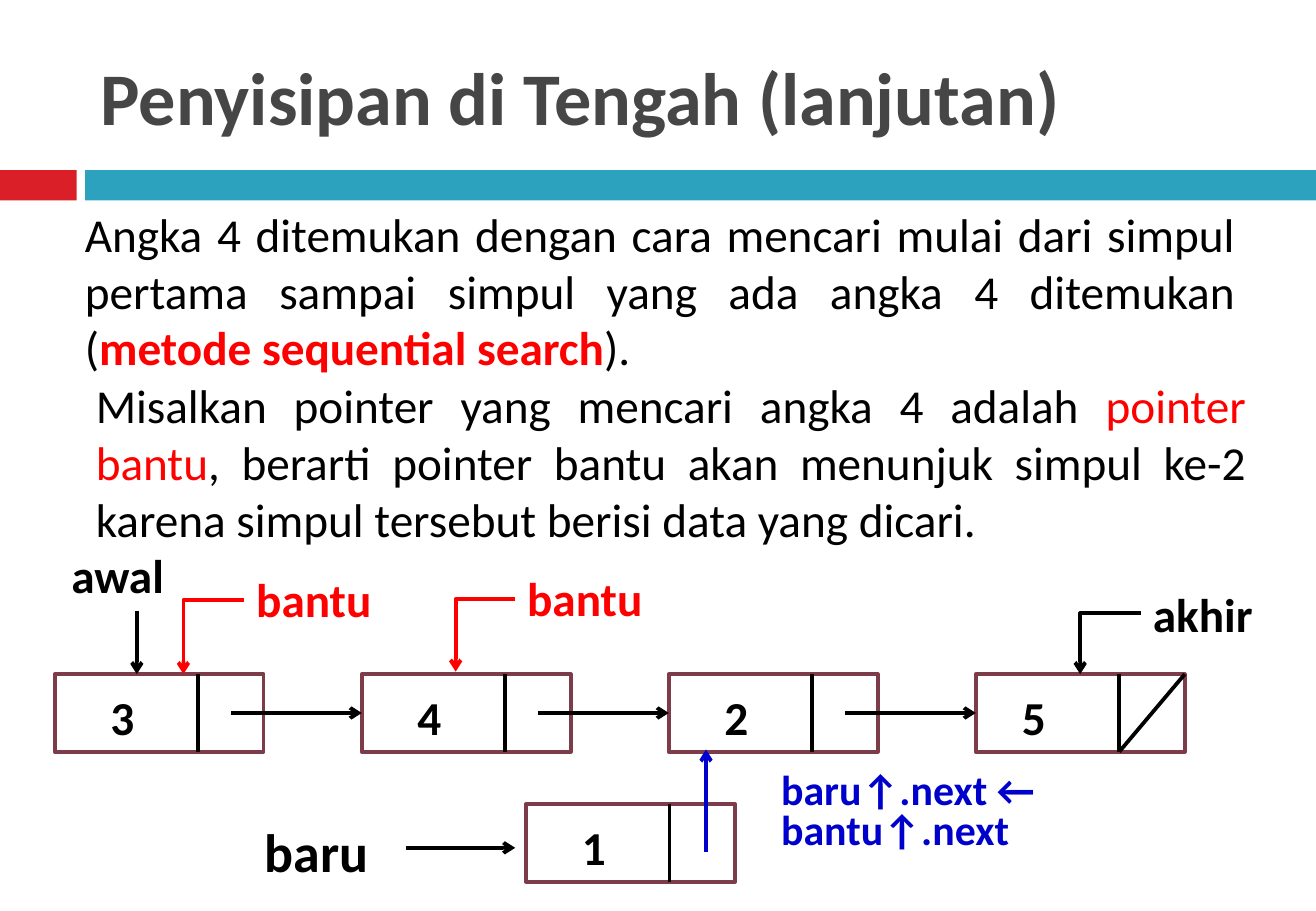
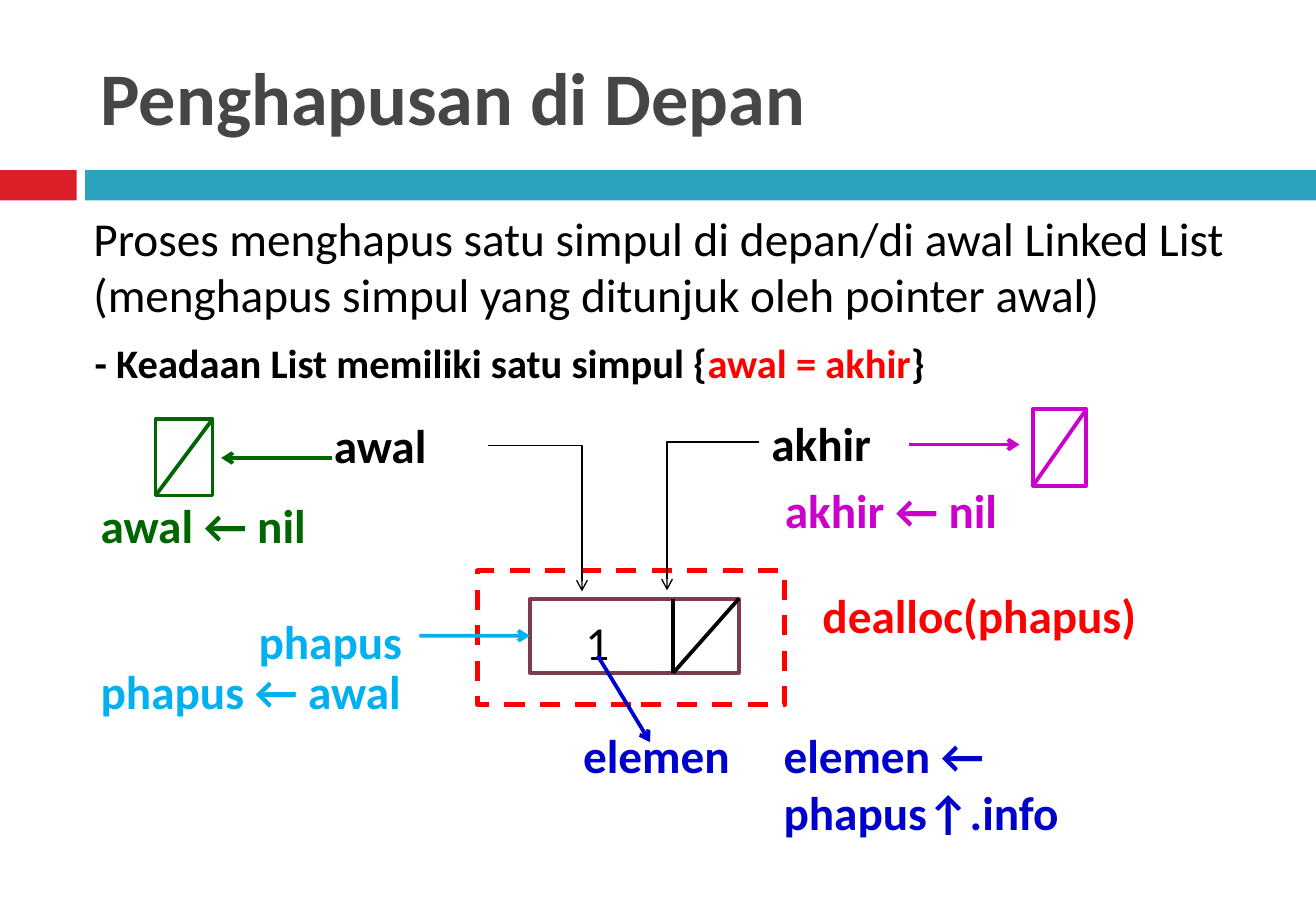
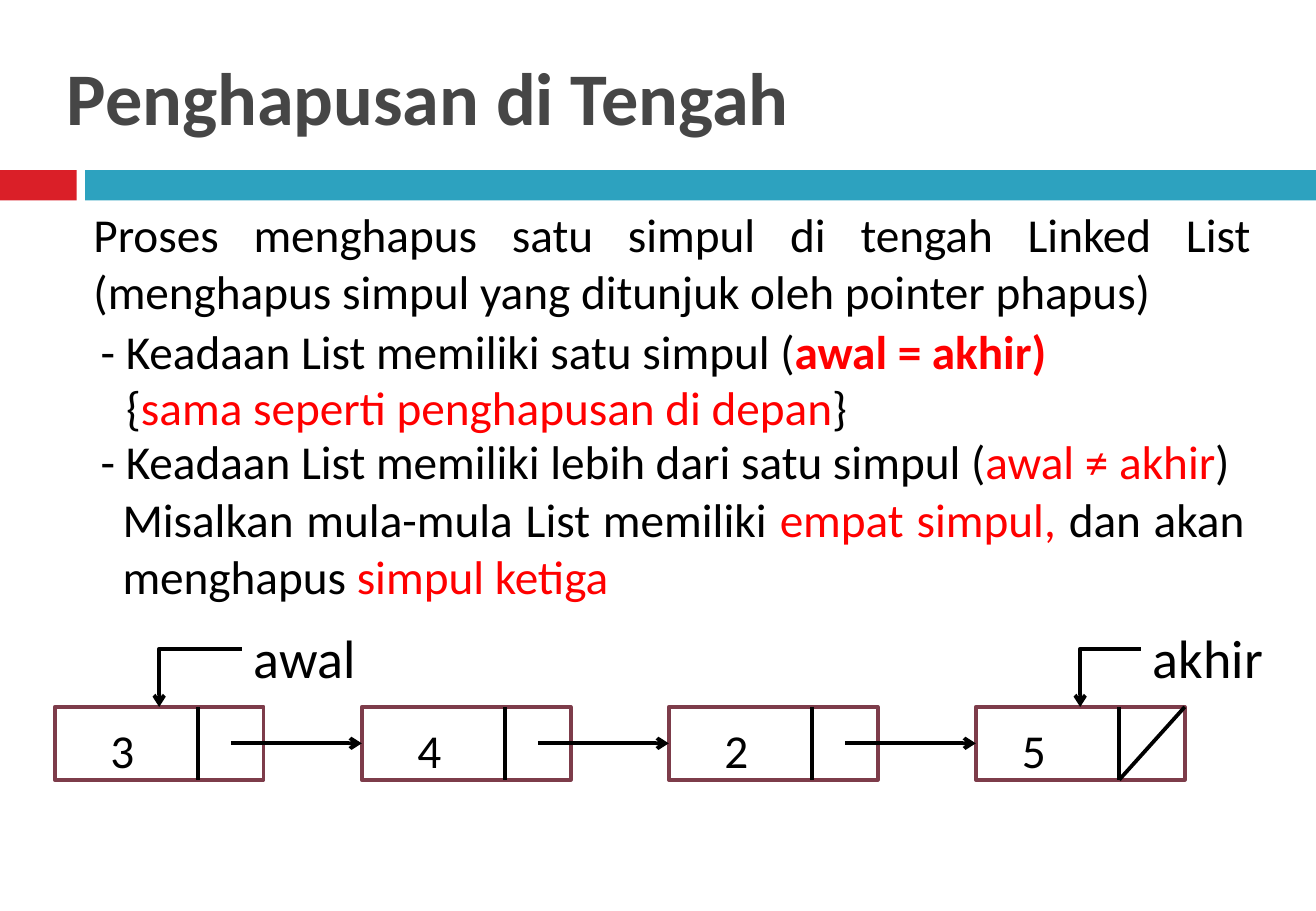
from dataclasses import dataclass
from typing import Optional

from lxml import etree
from pptx import Presentation
from pptx import util as u
from pptx.dml.color import RGBColor
from pptx.enum import dml, shapes, text
from pptx.oxml.ns import qn


@dataclass(frozen=True)
class Theme:
    font: str = "Calibri"
    title_size: float = 44
    large: float = 32
    body: float = 28
    small: float = 24
    assign: float = 24.8
    stroke: float = 2.25
    hairline: float = 0.79
    dash: float = 3
    title: str = "464646"
    red_band: str = "DA1F28"
    teal_band: str = "2DA2BF"
    node: str = "7D3C4A"
    black: str = "000000"
    white: str = "FFFFFF"
    red: str = "FF0000"
    blue: str = "0000CC"
    green: str = "006600"
    magenta: str = "CC00CC"
    sky: str = "00B0F0"


@dataclass
class Stroke:
    """A line between two points; target is the index of the node it is joined to."""
    points: tuple
    color: str = Theme.black
    width: float = Theme.stroke
    elbow: bool = False
    arrow: bool = True
    target: Optional[int] = None


theme = Theme()
deck = Presentation()
deck.slide_width, deck.slide_height = u.Inches(10.83), u.Inches(7.5)


def place(*shares):
    """Turn alternating x and y percentages of the slide into lengths."""
    sizes = (deck.slide_width, deck.slide_height)
    return [round(share * sizes[i % 2] / 100) for i, share in enumerate(shares)]


def write(slide, words, box, size=theme.body, color=theme.black, bold=False,
          accent_bold=False, justify=False, spacing=None, middle=False):
    """Add a text box; words between | marks are red."""
    frame = slide.shapes.add_textbox(*place(*box)).text_frame
    frame.word_wrap = True
    if middle:
        frame.vertical_anchor = text.MSO_ANCHOR.MIDDLE
    paragraph = frame.paragraphs[0]
    if justify:
        paragraph.alignment = text.PP_ALIGN.JUSTIFY
    if spacing:
        paragraph.line_spacing = spacing
    paragraph.font.name, paragraph.font.size = theme.font, u.Pt(size)
    paragraph.font.bold = bold
    paragraph.font.color.rgb = RGBColor.from_string(color)
    for i, piece in enumerate(words.split("|")):
        if piece:
            run = paragraph.add_run()
            run.text = piece
            if i % 2:
                run.font.color.rgb = RGBColor.from_string(theme.red)
                run.font.bold = bold or accent_bold


# Grid of the linked list, in percent of the slide
FIRST, STEP = 4.16, 23.33
NODE_W, DIVIDER, LINK_START = 15.88, 10.9, 13.39
VALUE_LEFT, VALUE_TOP, VALUE_W = 3.32, 0.93, 5.82
LABEL_H = 7.6
TEXT_W = 89.2
TITLE_LEFT = 6.74
AKHIR_LEFT, AKHIR_TIP = 86.7, 82.09
BAND_TOP, BAND_H, BAND_SPLIT = 18.67, 3.33, 6.46

# Each node: left, top, height, value, indent of the value, what its pointer holds
chains = {
    top: [(FIRST + i * STEP, top, height, value, indent, pointer)
          for i, (value, indent, pointer) in enumerate([
              ("3", VALUE_LEFT, "next"), ("4", VALUE_LEFT, "next"),
              ("2", VALUE_LEFT, "next"), ("5", 2.59, "nil")])]
    for top, height in [(74, 8.53), (77.6, 8)]
}

insert_middle = dict(
    title="Penyisipan di Tengah (lanjutan)", title_left=TITLE_LEFT,
    boxes=[], bold_values=True,
    nodes=chains[74] + [(39.98, 88.27, 8.53, "1", VALUE_LEFT, "open")],
    texts=[
        ("Angka 4 ditemukan dengan cara mencari mulai dari simpul pertama sampai simpul "
         "yang ada angka 4 ditemukan (|metode sequential search|).",
         (5.54, 21.87, TEXT_W, 17.73), dict(justify=True, accent_bold=True)),
        ("Misalkan pointer yang mencari angka 4 adalah |pointer bantu|, berarti pointer "
         "bantu akan menunjuk simpul ke-2 karena simpul tersebut berisi data yang dicari.",
         (6.37, 40.67, TEXT_W, 14.4), dict(justify=True)),
        ("bantu", (18.56, 62, 11.27, LABEL_H), dict(color=theme.red, bold=True)),
        ("bantu", (39.15, 61.87, 13.3, LABEL_H), dict(color=theme.red, bold=True)),
        ("baru↑.next ← bantu↑.next", (58.45, 84.27, 37, 7.73),
         dict(size=theme.assign, color=theme.blue, bold=True, spacing=0.8)),
        ("baru", (19.21, 89.2, 11.63, 8.53), dict(size=theme.large, bold=True)),
        ("awal", (4.52, 59.33, 11.63, LABEL_H), dict(bold=True)),
        ("akhir", (AKHIR_LEFT, 63.6, 11.63, LABEL_H), dict(bold=True)),
    ],
    strokes=[
        Stroke((18.56, 65.87, 13.94, 74), theme.red, elbow=True),
        Stroke((39.15, 65.73, 34.63, 73.73), theme.red, elbow=True),
        Stroke((30.84, 93.07, 39.15, 93.07)),
        Stroke((AKHIR_LEFT, 67.33, AKHIR_TIP, 74), elbow=True),
        Stroke((10.4, 67.07, 10.4, 74)),
        Stroke((53.65, 93.47, 53.65, 82.27), theme.blue),
    ])

delete_front = dict(
    title="Penghapusan di Depan", title_left=TITLE_LEFT, bold_values=False,
    boxes=[((11.82, 46, 4.34, 8.4), theme.green, False),
           ((78.49, 44.93, 4.06, 8.4), theme.magenta, False),
           ((36.29, 62.67, 23.36, 14.67), theme.red, True)],
    nodes=[(40.26, 65.73, 8.13, "1", VALUE_LEFT, "nil")],
    texts=[
        ("Proses menghapus satu simpul di depan/di awal Linked List (menghapus simpul "
         "yang ditunjuk oleh pointer awal)", (6.19, 22.27, 89.75, 17.33), {}),
        ("- Keadaan List memiliki satu simpul {|awal = akhir|}",
         (6.28, 36.4, TEXT_W, 8.93), dict(size=theme.small, bold=True)),
        ("awal", (24.47, 45.07, 12.65, LABEL_H), dict(bold=True)),
        ("akhir", (57.71, 44.8, 12.65, LABEL_H), dict(bold=True)),
        ("phapus", (18.74, 66.53, 13.39, LABEL_H), dict(color=theme.sky, bold=True)),
        ("dealloc(phapus)", (61.59, 63.73, 36.75, LABEL_H), dict(color=theme.red, bold=True)),
        ("awal ← nil", (6.74, 53.87, 27.42, LABEL_H), dict(color=theme.green, bold=True)),
        ("akhir ← nil", (58.73, 52.13, 27.42, LABEL_H), dict(color=theme.magenta, bold=True)),
        ("phapus ← awal", (6.74, 72, 30.29, LABEL_H), dict(color=theme.sky, bold=True)),
        ("elemen", (43.4, 79.07, 20.78, LABEL_H), dict(color=theme.blue, bold=True)),
        ("elemen ← phapus↑.info", (58.63, 79.07, 36, 2 * LABEL_H),
         dict(color=theme.blue, bold=True)),
    ],
    strokes=[
        Stroke((69.07, 48.8, 77.47, 48.8), theme.magenta),
        Stroke((31.86, 69.8, 40.26, 69.8), theme.sky, target=0),
        Stroke((57.71, 48.53, 50.69, 64.8), width=theme.hairline, elbow=True),
        Stroke((37.12, 48.93, 44.23, 64.93), width=theme.hairline, elbow=True),
        Stroke((25.21, 50.27, 16.81, 50.27), theme.green),
        Stroke((45.43, 72, 49.4, 81.47), theme.blue),
    ])

delete_middle = dict(
    title="Penghapusan di Tengah", title_left=FIRST,
    boxes=[], bold_values=False, nodes=chains[77.6],
    texts=[
        ("Proses menghapus satu simpul di tengah Linked List (menghapus simpul yang "
         "ditunjuk oleh pointer phapus)", (6.19, 21.87, 89.75, 17.33), dict(justify=True)),
        ("- Keadaan List memiliki satu simpul (|awal = akhir)|",
         (6.74, 34.67, TEXT_W, 6.93), dict(accent_bold=True)),
        ("{|sama seperti penghapusan di depan|}", (8.68, 41.6, 87.5, 7.33), dict(spacing=0.9)),
        ("- Keadaan List memiliki lebih dari satu simpul (|awal ≠ akhir|)",
         (6.74, 46.8, TEXT_W, 6.93), {}),
        ("Misalkan mula-mula List memiliki |empat simpul, |dan akan menghapus |simpul ketiga|",
         (8.4, 53.2, 87.07, 6.93), dict(justify=True)),
        ("awal", (18.37, 67.87, 11.63, 6.8), dict(size=theme.large)),
        ("akhir", (AKHIR_LEFT, 67.87, 11.63, 6.8), dict(size=theme.large)),
    ],
    strokes=[
        Stroke((18.37, 71.2, 12.1, 77.6), elbow=True),
        Stroke((AKHIR_LEFT, 71.2, AKHIR_TIP, 77.6), elbow=True),
    ])

for content in (insert_middle, delete_front, delete_middle):
    slide = deck.slides.add_slide(deck.slide_layouts[6])
    strokes = list(content["strokes"])

    for left, width, color in [(0, 5.82, theme.red_band),
                               (BAND_SPLIT, 100 - BAND_SPLIT, theme.teal_band)]:
        band = slide.shapes.add_shape(shapes.MSO_SHAPE.RECTANGLE,
                                      *place(left, BAND_TOP, width, BAND_H))
        band.shadow.inherit = False
        band.fill.solid()
        band.fill.fore_color.rgb = RGBColor.from_string(color)
        band.line.fill.background()
    write(slide, content["title"], (content["title_left"], 3.33, TEXT_W, 14.4),
          theme.title_size, theme.title, bold=True, middle=True)

    outlines = content["boxes"] + [((left, top, NODE_W, height), theme.node, False)
                                   for left, top, height, *_ in content["nodes"]]
    rectangles = []
    for box, color, dashed in outlines:
        rectangle = slide.shapes.add_shape(shapes.MSO_SHAPE.RECTANGLE, *place(*box))
        rectangle.shadow.inherit = False
        rectangle.fill.solid()
        rectangle.fill.fore_color.rgb = RGBColor.from_string(theme.white)
        rectangle.line.color.rgb = RGBColor.from_string(color)
        rectangle.line.width = u.Pt(theme.dash if dashed else theme.stroke)
        if dashed:
            rectangle.line.dash_style = dml.MSO_LINE.DASH
        rectangles.append(rectangle)
    node_rectangles = rectangles[len(content["boxes"]):]

    for (left, top, width, height), color, dashed in content["boxes"]:
        if not dashed:
            strokes.append(Stroke((left + width, top, left, top + height), color, arrow=False))

    for i, (left, top, height, value, indent, pointer) in enumerate(content["nodes"]):
        divider, middle = left + DIVIDER, top + height / 2
        strokes.append(Stroke((divider, top, divider, top + height), arrow=False))
        if pointer == "nil":
            strokes.append(Stroke((left + NODE_W, top, divider, top + height), arrow=False))
        elif pointer == "next":
            strokes.append(Stroke((left + LINK_START, middle, left + STEP, middle), target=i + 1))
        write(slide, value, (left + indent, top + VALUE_TOP, VALUE_W, height - VALUE_TOP),
              bold=content["bold_values"])

    for words, box, style in content["texts"]:
        write(slide, words, box, **style)

    for stroke in strokes:
        kind = shapes.MSO_CONNECTOR.ELBOW if stroke.elbow else shapes.MSO_CONNECTOR.STRAIGHT
        connector = slide.shapes.add_connector(kind, *place(*stroke.points))
        connector.line.color.rgb = RGBColor.from_string(stroke.color)
        connector.line.width = u.Pt(stroke.width)
        if stroke.target is not None:
            connector.end_connect(node_rectangles[stroke.target], 1)
        properties = connector._element.spPr
        if stroke.elbow:
            properties.find(qn("a:prstGeom")).set("prst", "bentConnector2")
        if stroke.arrow:
            etree.SubElement(properties.find(qn("a:ln")), qn("a:tailEnd"), type="arrow")
        etree.SubElement(properties, qn("a:effectLst"))

deck.save("out.pptx")
